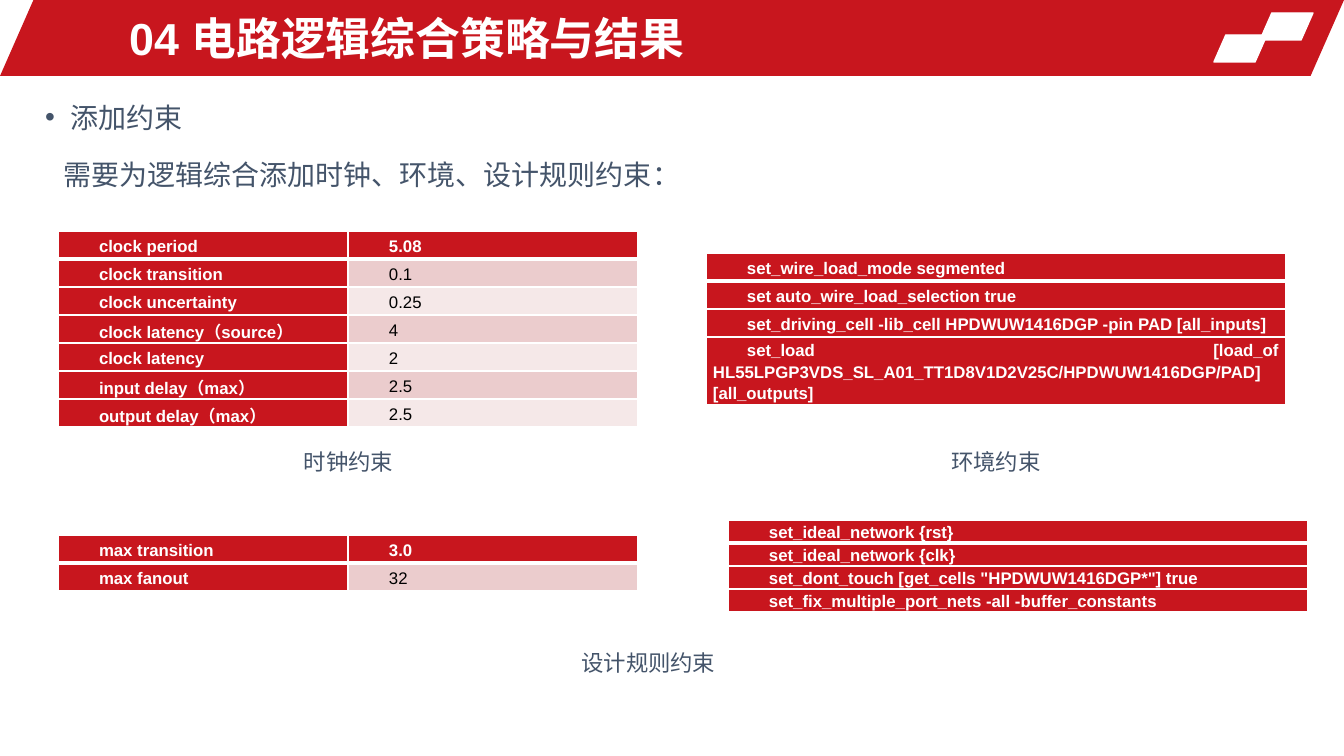
from dataclasses import dataclass

from lxml.etree import SubElement
from pptx import Presentation
from pptx.dml.color import RGBColor
from pptx.enum.shapes import MSO_SHAPE
from pptx.enum.text import MSO_ANCHOR, MSO_AUTO_SIZE, PP_ALIGN
from pptx.oxml.ns import qn
from pptx.util import Emu, Pt

PX_PER_INCH = 100.8
RED, WHITE, BLACK, SLATE = "C8161E", "FFFFFF", "000000", "44546A"
BANDS = ("F5E8E8", "EBCCCD")
FONT = "Arial"


@dataclass
class Panel:
    left: int
    top: int
    width: int
    height: int
    color: str


@dataclass
class Caption:
    left: int
    top: int
    width: int
    text: str


@dataclass
class Grid:
    left: int
    top: int
    row_heights: list[int]
    rows: list[tuple[str, ...]]
    anchor: MSO_ANCHOR = MSO_ANCHOR.MIDDLE


GRID_WIDTH = 580
PANELS = [
    Panel(0, 0, 1344, 76, RED),
    Panel(1260, 13, 53, 27, WHITE),
    Panel(1214, 35, 53, 27, WHITE),
]
GRIDS = [
    Grid(58, 231, [28] * 7, [
        ("clock period", "5.08"),
        ("clock transition", "0.1"),
        ("clock uncertainty", "0.25"),
        ("clock latency（source）", "4"),
        ("clock latency", "2"),
        ("input delay（max）", "2.5"),
        ("output delay（max）", "2.5"),
    ]),
    Grid(706, 253, [28, 28, 28, 68], [
        ("set_wire_load_mode segmented",),
        ("set auto_wire_load_selection true",),
        ("set_driving_cell -lib_cell HPDWUW1416DGP -pin PAD [all_inputs]",),
        ("set_load [load_of HL55LPGP3VDS_SL_A01_TT1D8V1D2V25C/HPDWUW1416DGP/PAD] [all_outputs]",),
    ]),
    Grid(58, 535, [28] * 2, [("max transition", "3.0"), ("max fanout", "32")]),
    Grid(728, 520, [23] * 4, [
        ("set_ideal_network {rst}",),
        ("set_ideal_network {clk}",),
        ('set_dont_touch [get_cells "HPDWUW1416DGP*"] true',),
        ("set_fix_multiple_port_nets -all -buffer_constants",),
    ], MSO_ANCHOR.TOP),
]
CAPTIONS = [
    Caption(224, 443, 249, "时钟约束"),
    Caption(892, 443, 208, "环境约束"),
    Caption(500, 644, 297, "设计规则约束"),
]


def px(length: int) -> Emu:
    return Emu(round(length * 914400 / PX_PER_INCH))


def rgb(color: str) -> RGBColor:
    return RGBColor.from_string(color)


def place(shape, left: int, top: int, width: int, height: int) -> None:
    shape.left, shape.top = px(left), px(top)
    shape.width, shape.height = px(width), px(height)


def add_span(para, text: str, size: int, color: str, bold: bool = False) -> None:
    span = para.add_run()
    span.text = text
    span.font.name = FONT
    span.font.size = Pt(size)
    span.font.bold = bold
    span.font.color.rgb = rgb(color)


def set_indent(para, margin: int, first_line: int, bullet: str = "") -> None:
    properties = para._p.get_or_add_pPr()
    properties.set("marL", str(px(margin)))
    properties.set("indent", str(px(first_line)))
    if bullet:
        SubElement(properties, qn("a:buChar"), char=bullet)
    else:
        SubElement(properties, qn("a:buNone"))


def draw_panel(page, panel: Panel) -> None:
    shape = page.shapes.add_shape(
        MSO_SHAPE.PARALLELOGRAM,
        px(panel.left), px(panel.top), px(panel.width), px(panel.height))
    shape.adjustments[0] = 0.44
    shape.shadow.inherit = False
    shape.fill.solid()
    shape.fill.fore_color.rgb = rgb(panel.color)
    shape.line.color.rgb = rgb(panel.color)
    if panel.color == RED:
        shape.line.fill.background()
    else:
        shape.line.width = Pt(1)


def fill_title(title) -> None:
    place(title, 119, 5, 780, 66)
    frame = title.text_frame
    frame.auto_size = MSO_AUTO_SIZE.NONE
    frame.vertical_anchor = MSO_ANCHOR.MIDDLE
    para = frame.paragraphs[0]
    para.alignment = PP_ALIGN.LEFT
    add_span(para, "04 电路逻辑综合策略与结果", 32, WHITE, bold=True)


def fill_body(body) -> None:
    place(body, 35, 85, 1275, 525)
    frame = body.text_frame
    frame.auto_size = MSO_AUTO_SIZE.NONE
    heading, detail = frame.paragraphs[0], frame.add_paragraph()
    set_indent(heading, 25, -25, "•")
    set_indent(detail, 18, 0)
    heading.space_before, detail.space_before = Pt(0), Pt(10)
    for para, text in ((heading, "添加约束"),
                       (detail, "需要为逻辑综合添加时钟、环境、设计规则约束：")):
        para.line_spacing = 1.3
        add_span(para, text, 20, SLATE)


def set_borders(cell, is_header: bool, below_header: bool) -> None:
    properties = cell._tc.get_or_add_tcPr()
    widths = {"lnL": 1, "lnR": 1,
              "lnT": 3 if below_header else 1,
              "lnB": 3 if is_header else 1}
    for position, (side, width) in enumerate(widths.items()):
        line = SubElement(properties, qn(f"a:{side}"), w=str(Pt(width)))
        fill = SubElement(line, qn("a:solidFill"))
        SubElement(fill, qn("a:srgbClr"), val=WHITE)
        properties.insert(position, line)


def draw_grid(page, grid: Grid) -> None:
    column_count = len(grid.rows[0])
    table = page.shapes.add_table(
        len(grid.rows), column_count, px(grid.left), px(grid.top),
        px(GRID_WIDTH), px(sum(grid.row_heights))).table
    table.first_row = table.horz_banding = False
    for column in table.columns:
        column.width = px(GRID_WIDTH // column_count)
    for row_index, (texts, height) in enumerate(zip(grid.rows, grid.row_heights)):
        table.rows[row_index].height = px(height)
        for column_index, text in enumerate(texts):
            is_value = row_index > 0 and column_index > 0
            cell = table.cell(row_index, column_index)
            cell.margin_left = cell.margin_right = px(7)
            cell.margin_top = cell.margin_bottom = 0
            cell.vertical_anchor = grid.anchor
            cell.fill.solid()
            cell.fill.fore_color.rgb = rgb(BANDS[row_index % 2] if is_value else RED)
            set_borders(cell, row_index == 0, row_index == 1)
            para = cell.text_frame.paragraphs[0]
            set_indent(para, 0, 34)
            para.alignment = PP_ALIGN.JUSTIFY
            para.line_spacing = 1.15
            add_span(para, text, 12, BLACK if is_value else WHITE, not is_value)


def draw_caption(page, caption: Caption) -> None:
    box = page.shapes.add_textbox(
        px(caption.left), px(caption.top), px(caption.width), px(37))
    box.text_frame.word_wrap = True
    para = box.text_frame.paragraphs[0]
    para.alignment = PP_ALIGN.CENTER
    add_span(para, caption.text, 16, SLATE)


def main() -> None:
    deck = Presentation()
    deck.slide_width, deck.slide_height = px(1344), px(756)
    page = deck.slides.add_slide(deck.slide_layouts[1])
    title, body = page.placeholders
    for panel in PANELS:
        draw_panel(page, panel)
    for text_holder in (title, body):
        page.shapes._spTree.append(text_holder._element)
    fill_title(title)
    fill_body(body)
    for grid in GRIDS:
        draw_grid(page, grid)
    for caption in CAPTIONS:
        draw_caption(page, caption)
    deck.save("out.pptx")


if __name__ == "__main__":
    main()
